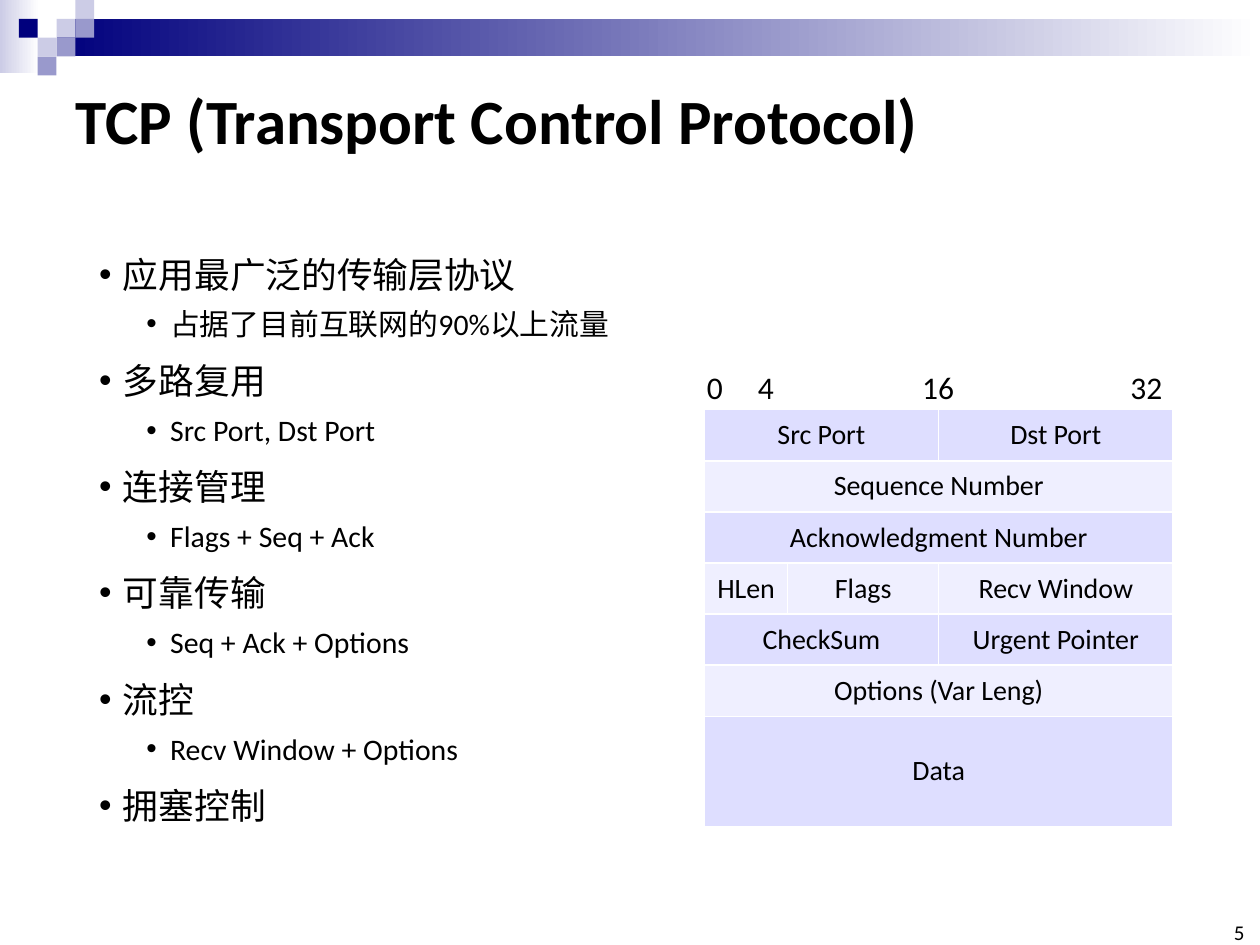
from lxml import etree
from pptx import Presentation
from pptx.dml.color import RGBColor
from pptx.enum.shapes import MSO_SHAPE
from pptx.enum.text import MSO_ANCHOR, MSO_AUTO_SIZE, PP_ALIGN
from pptx.oxml.ns import qn
from pptx.util import Cm, Pt

RECTANGLE = MSO_SHAPE.RECTANGLE
MIDDLE, BOTTOM = MSO_ANCHOR.MIDDLE, MSO_ANCHOR.BOTTOM
NO_AUTOFIT = MSO_AUTO_SIZE.NONE
LEFT, CENTER, RIGHT = PP_ALIGN.LEFT, PP_ALIGN.CENTER, PP_ALIGN.RIGHT

BLACK = RGBColor(0x00, 0x00, 0x00)
WHITE = RGBColor(0xFF, 0xFF, 0xFF)
NAVY = RGBColor(0x00, 0x00, 0x7D)
PALE = RGBColor(0xCC, 0xCC, 0xE6)
LILAC = RGBColor(0x99, 0x99, 0xCC)
ROW_FILLS = (RGBColor(0xDE, 0xDE, 0xFF), RGBColor(0xEF, 0xEF, 0xFF))

FONT = "Calibri"
SQUARE = 0.38
SQUARES = [(3, 1, PALE), (4, 0, PALE), (4, 1, LILAC), (2, 2, PALE),
           (1, 1, NAVY), (3, 2, LILAC), (2, 3, LILAC)]

TOPICS = [
    ("应用最广泛的传输层协议", "占据了目前互联网的90%以上流量"),
    ("多路复用", "Src Port, Dst Port"),
    ("连接管理", "Flags + Seq + Ack"),
    ("可靠传输", "Seq + Ack + Options"),
    ("流控", "Recv Window + Options"),
    ("拥塞控制", None),
]

# Each header row lists its fields as (label, columns covered).
HEADER_ROWS = [
    [("Src Port", 2), ("Dst Port", 1)],
    [("Sequence Number", 3)],
    [("Acknowledgment Number", 3)],
    [("HLen", 1), ("Flags", 1), ("Recv Window", 1)],
    [("CheckSum", 2), ("Urgent Pointer", 1)],
    [("Options (Var Leng)", 3)],
    [("Data", 3)],
]
COLUMN_WIDTHS = (1.68, 3.04, 4.73)
ROW_HEIGHT, DATA_HEIGHT = 1.03, 2.22
BIT_TAB_STOPS = (1.03, 4.34, 8.54)


def add_span(para, text, size, bold=False):
    """Add one formatted run to a paragraph."""
    span = para.add_run()
    span.text = text
    span.font.name = FONT
    span.font.size = Pt(size)
    span.font.bold = bold
    span.font.color.rgb = BLACK


def add_box(page, left, top, width, height):
    """Add a text box and return its text frame."""
    box = page.shapes.add_textbox(Cm(left), Cm(top), Cm(width), Cm(height))
    box.text_frame.word_wrap = True
    return box.text_frame


def add_block(page, left, top, width, height, color, fade=False):
    """Add a borderless rectangle, optionally fading to white on the right."""
    block = page.shapes.add_shape(
        RECTANGLE, Cm(left), Cm(top), Cm(width), Cm(height))
    block.shadow.inherit = False
    block.line.fill.background()
    if fade:
        block.fill.gradient()
        block.fill.gradient_angle = 0
        for stop, stop_color in zip(block.fill.gradient_stops, (color, WHITE)):
            stop.color.rgb = stop_color
    else:
        block.fill.solid()
        block.fill.fore_color.rgb = color


def add_banner(page):
    """Draw the fading bars and the squares at the top left."""
    add_block(page, 0, 0, 0.79, 1.47, PALE, fade=True)
    add_block(page, 1.14, 0.38, 24.26, 0.76, NAVY, fade=True)
    for column, row, color in SQUARES:
        add_block(page, column * SQUARE, row * SQUARE, SQUARE, SQUARE, color)


def set_title(page, text):
    """Place and fill the title placeholder."""
    title = page.shapes.title
    title.left, title.top = Cm(1.27), Cm(1.27)
    title.width, title.height = Cm(22.86), Cm(2.26)
    frame = title.text_frame
    frame.auto_size = NO_AUTOFIT
    frame.vertical_anchor = MIDDLE
    para = frame.paragraphs[0]
    para.alignment = LEFT
    add_span(para, text, 36, bold=True)


def add_bullet(para, text, level):
    """Format a paragraph as a bullet of the given level and fill it."""
    indent, size, space = ((0.48, 20.4, 7.5), (1.43, 17, 3.8))[level]
    para.level = level
    para.line_spacing = 1.1
    para.space_before = Pt(space)
    properties = para._p.get_or_add_pPr()
    properties.set("marL", str(Cm(indent)))
    properties.set("indent", str(-Cm(0.48)))
    etree.SubElement(properties, qn("a:buFont")).set("typeface", "Arial")
    etree.SubElement(properties, qn("a:buChar")).set("char", "•")
    add_span(para, text, size)


def add_topics(page):
    """Add the two-level list of protocol features."""
    frame = add_box(page, 1.75, 4.88, 21.9, 12.29)
    bullets = [(text, level) for topic in TOPICS
               for level, text in enumerate(topic) if text]
    for index, (text, level) in enumerate(bullets):
        para = frame.add_paragraph() if index else frame.paragraphs[0]
        add_bullet(para, text, level)


def set_borders(cell):
    """Give a cell thin white borders, placed before its fill."""
    properties = cell._tc.get_or_add_tcPr()
    for position, side in enumerate(("lnL", "lnR", "lnT", "lnB")):
        line = etree.Element(qn("a:" + side), w=str(Pt(1)))
        fill = etree.SubElement(line, qn("a:solidFill"))
        etree.SubElement(fill, qn("a:srgbClr")).set("val", str(WHITE))
        properties.insert(position, line)


def add_header_table(page):
    """Add the segment layout as a table with merged fields."""
    heights = [ROW_HEIGHT] * (len(HEADER_ROWS) - 1) + [DATA_HEIGHT]
    table = page.shapes.add_table(
        len(heights), len(COLUMN_WIDTHS), Cm(14.2), Cm(8.26),
        Cm(sum(COLUMN_WIDTHS)), Cm(sum(heights))).table
    table.first_row = table.horz_banding = False
    for column, width in zip(table.columns, COLUMN_WIDTHS):
        column.width = Cm(width)
    for index, (fields, height) in enumerate(zip(HEADER_ROWS, heights)):
        table.rows[index].height = Cm(height)
        for cell in table.rows[index].cells:
            cell.fill.solid()
            cell.fill.fore_color.rgb = ROW_FILLS[index % 2]
            set_borders(cell)
        start = 0
        for label, covered in fields:
            cell = table.cell(index, start)
            if covered > 1:
                cell.merge(table.cell(index, start + covered - 1))
            cell.vertical_anchor = MIDDLE
            para = cell.text_frame.paragraphs[0]
            para.alignment = CENTER
            add_span(para, label, 16)
            start += covered


def add_bit_scale(page):
    """Add the bit offsets above the table, set with tab stops."""
    para = add_box(page, 14, 7.29, 10.11, 1.02).paragraphs[0]
    tabs = etree.SubElement(para._p.get_or_add_pPr(), qn("a:tabLst"))
    for stop in BIT_TAB_STOPS:
        etree.SubElement(tabs, qn("a:tab"), pos=str(Cm(stop)), algn="l")
    add_span(para, "0\t4\t16\t32", 18)


def add_page_number(page, number):
    """Add the page number in the lower right corner."""
    frame = add_box(page, 24.51, 18.62, 0.58, 0.43)
    frame.margin_left = frame.margin_right = 0
    frame.margin_top = frame.margin_bottom = 0
    frame.vertical_anchor = BOTTOM
    para = frame.paragraphs[0]
    para.alignment = RIGHT
    add_span(para, number, 12)


def main():
    """Build the slide and save the deck."""
    deck = Presentation()
    deck.slide_width, deck.slide_height = Cm(25.4), Cm(19.05)
    page = deck.slides.add_slide(deck.slide_layouts[5])
    add_banner(page)
    set_title(page, "TCP (Transport Control Protocol)")
    add_header_table(page)
    add_bit_scale(page)
    add_topics(page)
    add_page_number(page, "5")
    deck.save("out.pptx")


main()
